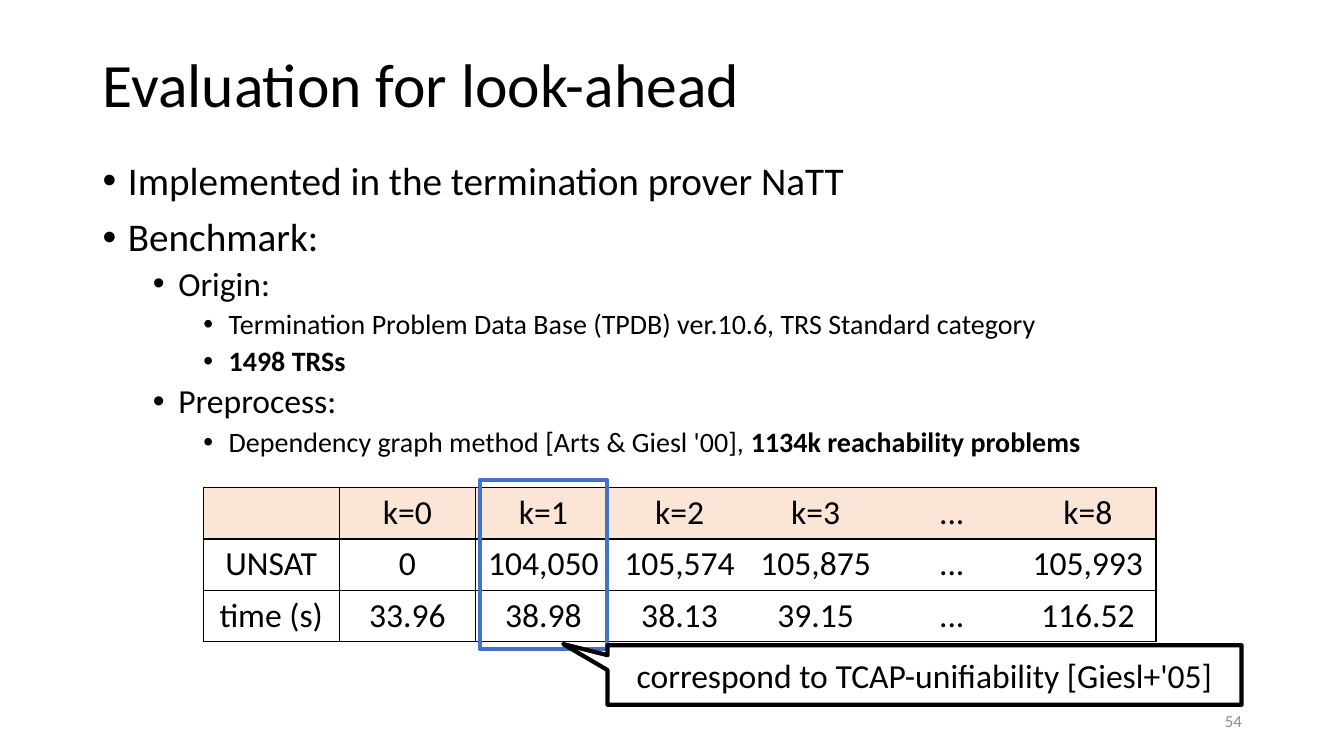
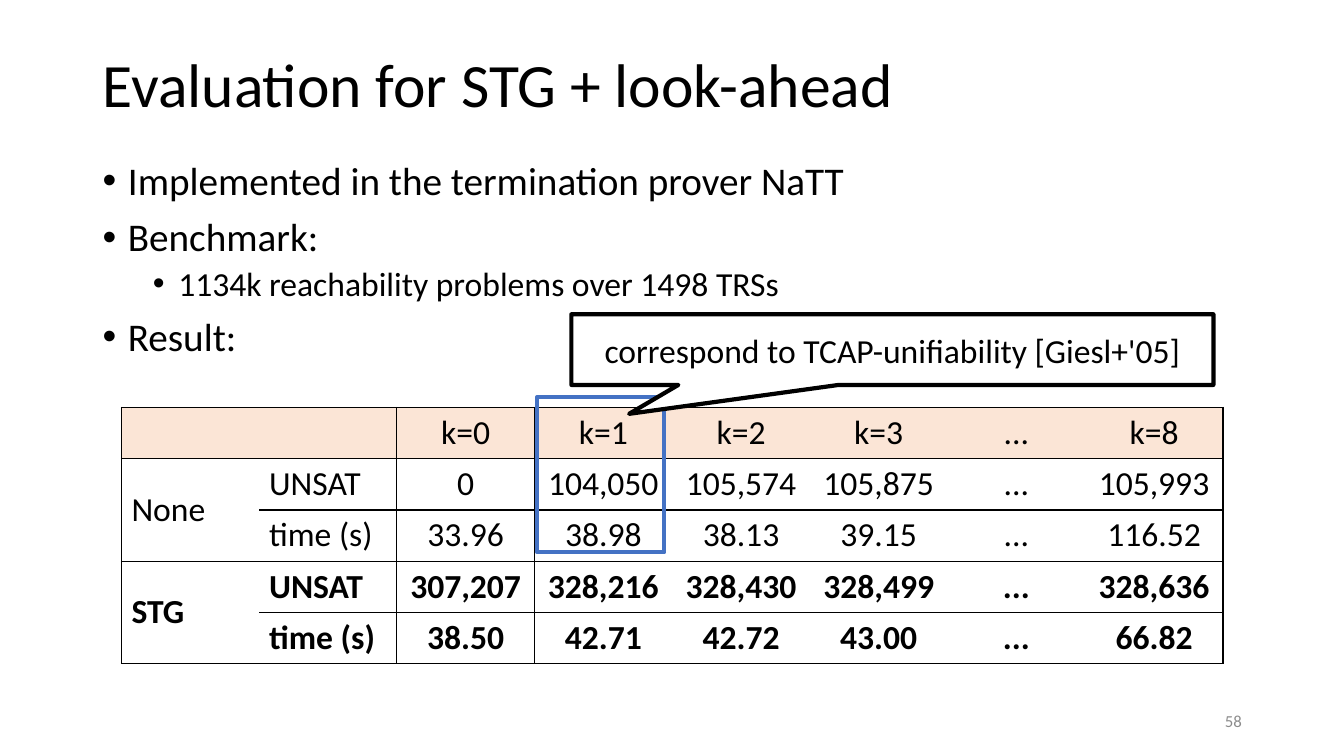
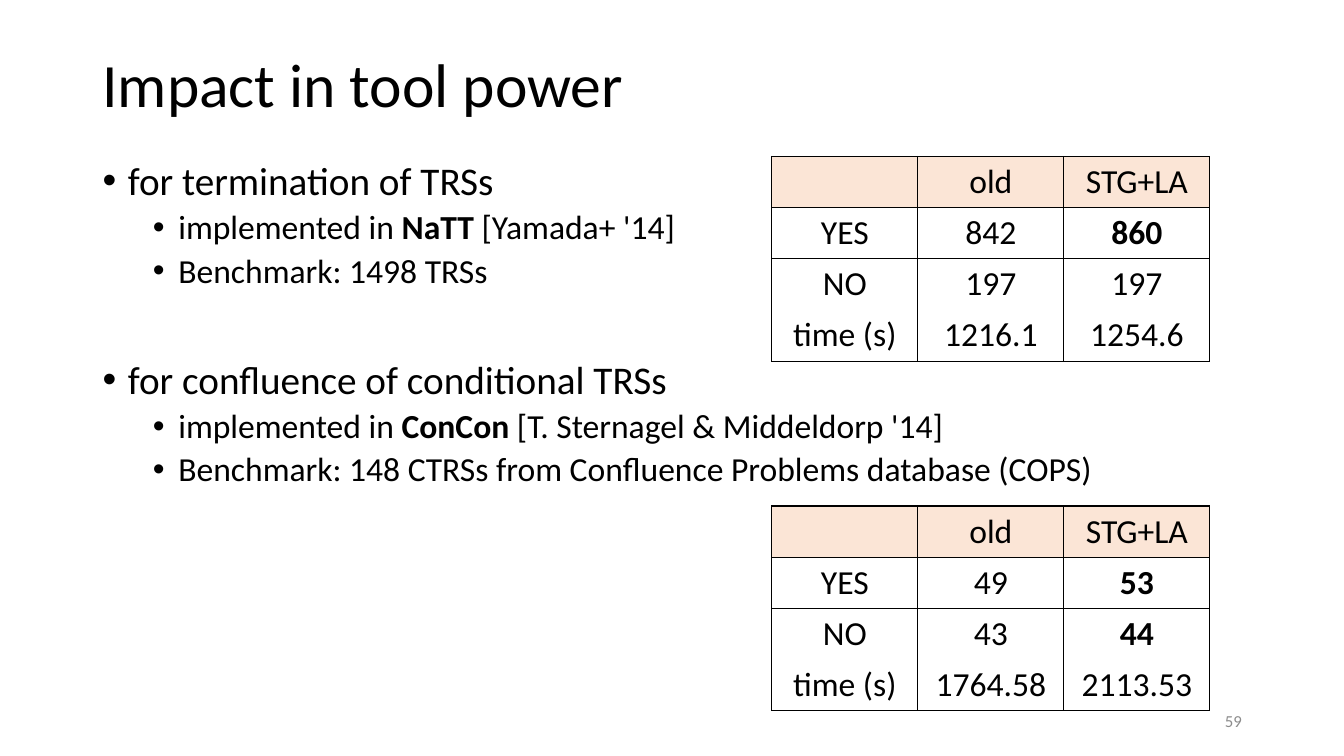
"""Build three slides on the evaluation of look-ahead and STG."""
from dataclasses import dataclass

from lxml.etree import SubElement
from pptx import Presentation
from pptx.dml.color import RGBColor
from pptx.enum.shapes import MSO_SHAPE
from pptx.enum.text import MSO_ANCHOR, MSO_AUTO_SIZE, PP_ALIGN
from pptx.oxml.ns import qn
from pptx.util import Cm, Pt


@dataclass(frozen=True)
class Theme:
    font: str = "Calibri"
    ink: str = "000000"
    paper: str = "FFFFFF"
    head: str = "FBE5D6"
    mark: str = "4472C4"
    gray: str = "8C8C8C"
    title: int = 44
    levels: tuple = (28, 24, 20)
    cell: int = 24
    note: int = 12
    line: int = 3
    row: float = 1.29


theme = Theme()


def write(para, text, size, color=theme.ink, align=PP_ALIGN.LEFT):
    """Fill a paragraph, with the parts between asterisks in bold."""
    para.alignment = align
    para.font.name = theme.font
    para.font.size = Pt(size)
    para.font.color.rgb = RGBColor.from_string(color)
    for i, part in enumerate(text.split("*")):
        if part:
            run = para.add_run()
            run.text = part
            if i % 2:
                run.font.bold = True


def grid(slide, left, top, width, rows, cols, lines, stubs=0, pairs=()):
    """Add a table ruled at the given column and row edges."""
    count = len(rows[0])
    table = slide.shapes.add_table(
        len(rows), count, Cm(left), Cm(top),
        Cm(width * count), Cm(theme.row * len(rows))).table
    for col in table.columns:
        col.width = Cm(width)
    for r in pairs:
        table.cell(r, 0).merge(table.cell(r + 1, 0))
    for r, row in enumerate(rows):
        table.rows[r].height = Cm(theme.row)
        for c, text in enumerate(row):
            cell = table.cell(r, c)
            if cell.is_spanned:
                continue
            end = r + (cell.span_height if cell.is_merge_origin else 1)
            props = cell._tc.get_or_add_tcPr()
            edges = {"L": c in cols, "R": c + 1 in cols,
                     "T": r in lines, "B": end in lines}
            for side, shown in edges.items():
                edge = SubElement(props, qn(f"a:ln{side}"), w=str(Pt(1)))
                if shown:
                    fill = SubElement(edge, qn("a:solidFill"))
                    SubElement(fill, qn("a:srgbClr"), val=theme.ink)
                else:
                    SubElement(edge, qn("a:noFill"))
            cell.fill.solid()
            cell.fill.fore_color.rgb = RGBColor.from_string(
                theme.paper if r else theme.head)
            cell.vertical_anchor = MSO_ANCHOR.MIDDLE
            write(cell.text_frame.paragraphs[0], text, theme.cell,
                  align=PP_ALIGN.LEFT if c < stubs else PP_ALIGN.CENTER)


steps = ["k=0", "k=1", "k=2", "k=3", "...", "k=8"]
unsat = ["UNSAT", "0", "104,050", "105,574", "105,875", "...", "105,993"]
time = ["time (s)", "33.96", "38.98", "38.13", "39.15", "...", "116.52"]
best = ["UNSAT", "307,207", "328,216", "328,430", "328,499", "...", "328,636"]
cost = ["time (s)", "38.50", "42.71", "42.72", "43.00", "...", "66.82"]
tools = ["", "old", "STG+LA"]
rules = {"cols": {0, 1, 2, 3}, "lines": {0, 1, 2, 4}}

pages = [
    {"title": "Evaluation for look-ahead", "number": "54",
     "points": [
         (0, "Implemented in the termination prover NaTT"),
         (0, "Benchmark:"),
         (1, "Origin:"),
         (2, "Termination Problem Data Base (TPDB) ver.10.6, "
             "TRS Standard category"),
         (2, "*1498 TRSs*"),
         (1, "Preprocess:"),
         (2, "Dependency graph method [Arts & Giesl '00], "
             "*1134k reachability problems*")],
     "tables": [dict(left=5.12, top=12.29, width=3.43,
                     rows=[["", *steps], unsat, time],
                     cols={0, 1, 2, 7}, lines={0, 1, 2, 3})],
     "frame": (12.09, 12.09, 3.2, 4.27),
     "callout": (15.31, 16.26, 15.98, 1.5), "tip": (-0.57, -0.52)},
    {"title": "Evaluation for STG + look-ahead", "number": "58",
     "points": [
         (0, "Implemented in the termination prover NaTT"),
         (0, "Benchmark:"),
         (1, "1134k reachability problems over 1498 TRSs"),
         (0, "Result:")],
     "tables": [dict(left=3.06, top=10.27, width=3.47,
                     rows=[["", "", *steps], ["None", *unsat], ["", *time],
                           ["*STG*", *[f"*{x}*" for x in best]],
                           ["", *[f"*{x}*" for x in cost]]],
                     cols={0, 2, 3, 8}, lines={0, 1, 2, 3, 4, 5},
                     stubs=2, pairs=(1, 3))],
     "frame": (13.54, 10.01, 3.2, 3.91),
     "callout": (14.4, 7.92, 16.18, 1.78), "tip": (-0.41, 0.91)},
    {"title": "Impact in tool power", "number": "59",
     "points": [
         (0, "for termination of TRSs"),
         (1, "implemented in *NaTT* [Yamada+ '14]"),
         (1, "Benchmark: 1498 TRSs"),
         (0, "for confluence of conditional TRSs"),
         (1, "implemented in *ConCon* [T. Sternagel & Middeldorp '14]"),
         (1, "Benchmark: 148 CTRSs from Confluence Problems "
             "database (COPS)")],
     "gaps": {3: 50},
     "tables": [
         dict(left=19.45, top=3.94, width=3.68, **rules,
              rows=[tools, ["YES", "842", "*860*"], ["NO", "197", "197"],
                    ["time (s)", "1216.1", "1254.6"]]),
         dict(left=19.45, top=12.75, width=3.68, **rules,
              rows=[tools, ["YES", "49", "*53*"], ["NO", "43", "*44*"],
                    ["time (s)", "1764.58", "2113.53"]])]},
]

deck = Presentation()
deck.slide_width, deck.slide_height = Cm(33.87), Cm(19.05)
layout = deck.slide_layouts[1]
for holder, top, height in zip(layout.placeholders, (1.01, 3.94), (2.4, 13.23)):
    holder.left, holder.top = Cm(2.33), Cm(top)
    holder.width, holder.height = Cm(29.21), Cm(height)

for page in pages:
    slide = deck.slides.add_slide(layout)
    title, body = slide.placeholders
    para = title.text_frame.paragraphs[0]
    para.line_spacing = 0.9
    write(para, page["title"], theme.title)

    frame = body.text_frame
    frame.auto_size = MSO_AUTO_SIZE.NONE
    for i, (level, text) in enumerate(page["points"]):
        para = frame.add_paragraph() if i else frame.paragraphs[0]
        para.level = level
        para.line_spacing = 0.9
        para.space_before = Pt(page.get("gaps", {}).get(i, 5 if level else 10))
        props = para._p.get_or_add_pPr()
        props.set("marL", str(Cm(0.64 + 1.27 * level)))
        props.set("indent", str(Cm(-0.64)))
        SubElement(props, qn("a:buChar"), char="•")
        write(para, text, theme.levels[level])

    for table in page["tables"]:
        grid(slide, **table)

    if "callout" in page:
        box = slide.shapes.add_shape(
            MSO_SHAPE.RECTANGLE, *map(Cm, page["frame"]))
        box.fill.background()
        call = slide.shapes.add_shape(
            MSO_SHAPE.RECTANGULAR_CALLOUT, *map(Cm, page["callout"]))
        call.adjustments[0], call.adjustments[1] = page["tip"]
        call.fill.solid()
        call.fill.fore_color.rgb = RGBColor.from_string(theme.paper)
        for shape, color in ((box, theme.mark), (call, theme.ink)):
            shape.shadow.inherit = False
            shape.line.color.rgb = RGBColor.from_string(color)
            shape.line.width = Pt(theme.line)
        call.text_frame.vertical_anchor = MSO_ANCHOR.MIDDLE
        write(call.text_frame.paragraphs[0],
              "correspond to TCAP-unifiability [Giesl+'05]",
              theme.cell, align=PP_ALIGN.CENTER)

    label = slide.shapes.add_textbox(
        Cm(23.93), Cm(17.65), Cm(7.62), Cm(1.02)).text_frame
    label.word_wrap = True
    label.vertical_anchor = MSO_ANCHOR.MIDDLE
    write(label.paragraphs[0], page["number"], theme.note, theme.gray,
          PP_ALIGN.RIGHT)

deck.save("out.pptx")
